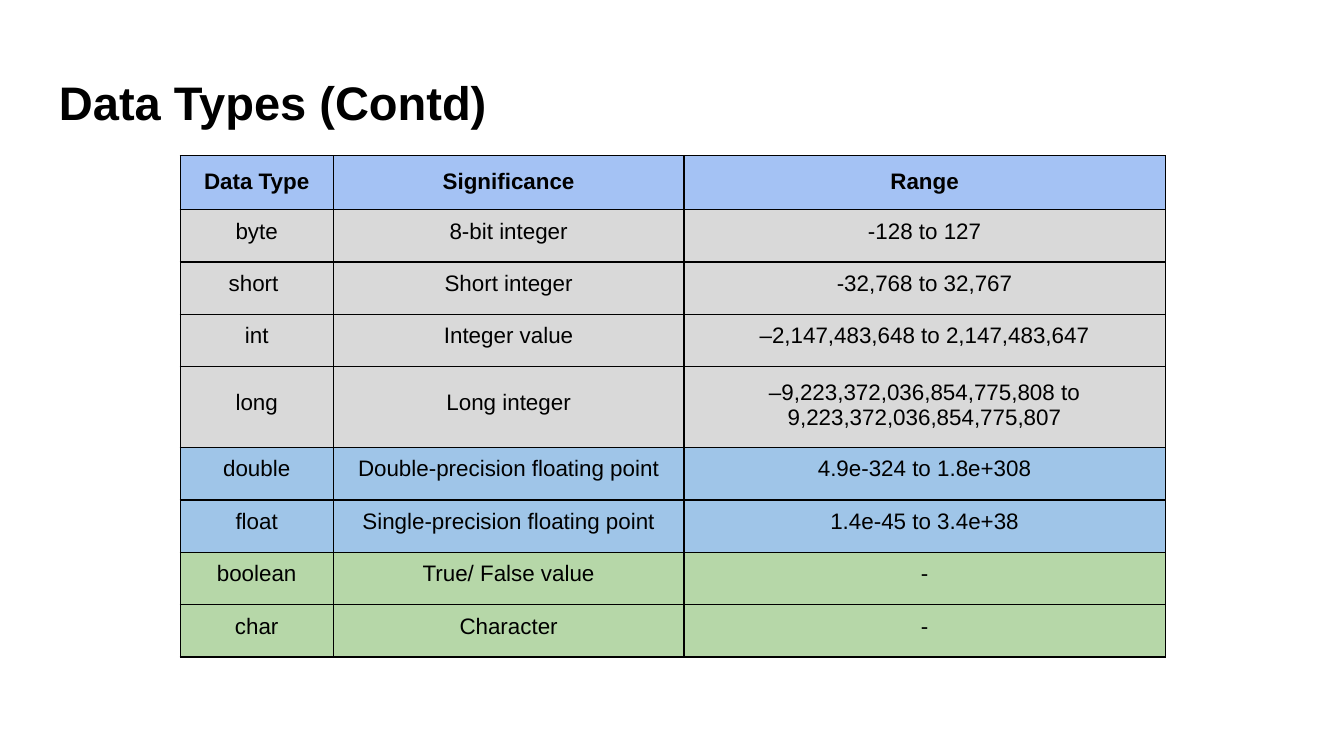
from lxml.etree import SubElement
from pptx import Presentation
from pptx.dml.color import RGBColor
from pptx.enum.text import MSO_ANCHOR as Anchor, PP_ALIGN as Align
from pptx.oxml.ns import qn
from pptx.util import Inches, Pt

BLACK = RGBColor(0x00, 0x00, 0x00)
HEADER_BLUE = RGBColor(0xA4, 0xC2, 0xF4)
INTEGER_GREY = RGBColor(0xD9, 0xD9, 0xD9)
FLOAT_BLUE = RGBColor(0x9F, 0xC5, 0xE8)
OTHER_GREEN = RGBColor(0xB6, 0xD7, 0xA8)

COLUMN_WIDTHS = [1.14, 2.61, 3.58]
HEADER_HEIGHT = 0.3
ROW_HEIGHT = 0.39
TALL_ROW_HEIGHT = 0.58
TALL_ROW = "long"

ROWS = [
    (HEADER_BLUE, "Data Type", "Significance", "Range"),
    (INTEGER_GREY, "byte", "8-bit integer", "-128 to 127"),
    (INTEGER_GREY, "short ", "Short integer", "-32,768 to 32,767"),
    (INTEGER_GREY, "int", "Integer value", "–2,147,483,648 to 2,147,483,647"),
    (INTEGER_GREY, TALL_ROW, "Long integer",
     "–9,223,372,036,854,775,808 to 9,223,372,036,854,775,807"),
    (FLOAT_BLUE, "double", "Double-precision floating point", "4.9e-324 to 1.8e+308"),
    (FLOAT_BLUE, "float", "Single-precision floating point", "1.4e-45 to 3.4e+38"),
    (OTHER_GREEN, "boolean", "True/ False value", "-"),
    (OTHER_GREEN, "char", "Character", "-"),
]


class PageBuilder:
    font_name = "Arial"
    color = BLACK
    inset = Inches(0.1)
    border_width = Pt(0.75)

    def __init__(self, page):
        self.page = page

    def style_text(self, para, size, bold):
        for span in para.runs:
            span.font.name = self.font_name
            span.font.size = Pt(size)
            span.font.bold = bold
            span.font.color.rgb = self.color

    def set_margins(self, holder):
        holder.margin_left = holder.margin_right = self.inset
        holder.margin_top = holder.margin_bottom = self.inset

    def title(self, text, left, top, width, height):
        box = self.page.shapes.add_textbox(
            Inches(left), Inches(top), Inches(width), Inches(height))
        frame = box.text_frame
        frame.word_wrap = True
        frame.vertical_anchor = Anchor.BOTTOM
        self.set_margins(frame)
        frame.text = text
        self.style_text(frame.paragraphs[0], 25.2, True)

    def border(self, cell):
        properties = cell._tc.get_or_add_tcPr()
        for index, side in enumerate(("a:lnL", "a:lnR", "a:lnT", "a:lnB")):
            line = SubElement(properties, qn(side), w=str(self.border_width))
            fill = SubElement(line, qn("a:solidFill"))
            SubElement(fill, qn("a:srgbClr"), val=str(self.color))
            properties.insert(index, line)

    def cell(self, cell, text, fill, bold, spacing, anchor):
        cell.fill.solid()
        cell.fill.fore_color.rgb = fill
        self.border(cell)
        self.set_margins(cell)
        cell.vertical_anchor = anchor
        cell.text_frame.text = text
        para = cell.text_frame.paragraphs[0]
        para.alignment = Align.CENTER
        para.line_spacing = spacing
        self.style_text(para, 12, bold)

    def table(self, rows, left, top, size):
        frame = self.page.shapes.add_table(
            len(rows), len(COLUMN_WIDTHS), Inches(left), Inches(top),
            Inches(size), Inches(size))
        table = frame.table
        table.horz_banding = False
        for column, width in zip(table.columns, COLUMN_WIDTHS):
            column.width = Inches(width)
        for row_index, (fill, *texts) in enumerate(rows):
            header = row_index == 0
            tall = texts[0] == TALL_ROW
            height = HEADER_HEIGHT if header else TALL_ROW_HEIGHT if tall else ROW_HEIGHT
            table.rows[row_index].height = Inches(height)
            for column_index, text in enumerate(texts):
                centred = tall and column_index < 2
                spacing = 0.4 if centred else None if header or tall else 0.8
                anchor = Anchor.MIDDLE if centred else Anchor.TOP
                self.cell(table.cell(row_index, column_index), text, fill,
                          header, spacing, anchor)
        frame.width = frame.height = Inches(size)


def main():
    deck = Presentation()
    deck.slide_width = Inches(10)
    deck.slide_height = deck.slide_width * 9 // 16
    builder = PageBuilder(deck.slides.add_slide(deck.slide_layouts[6]))
    builder.title("Data Types (Contd)", 0.34, 0.44, 9.32, 0.63)
    builder.table(ROWS, 1.34, 1.16, 3.28)
    deck.save("out.pptx")


if __name__ == "__main__":
    main()
